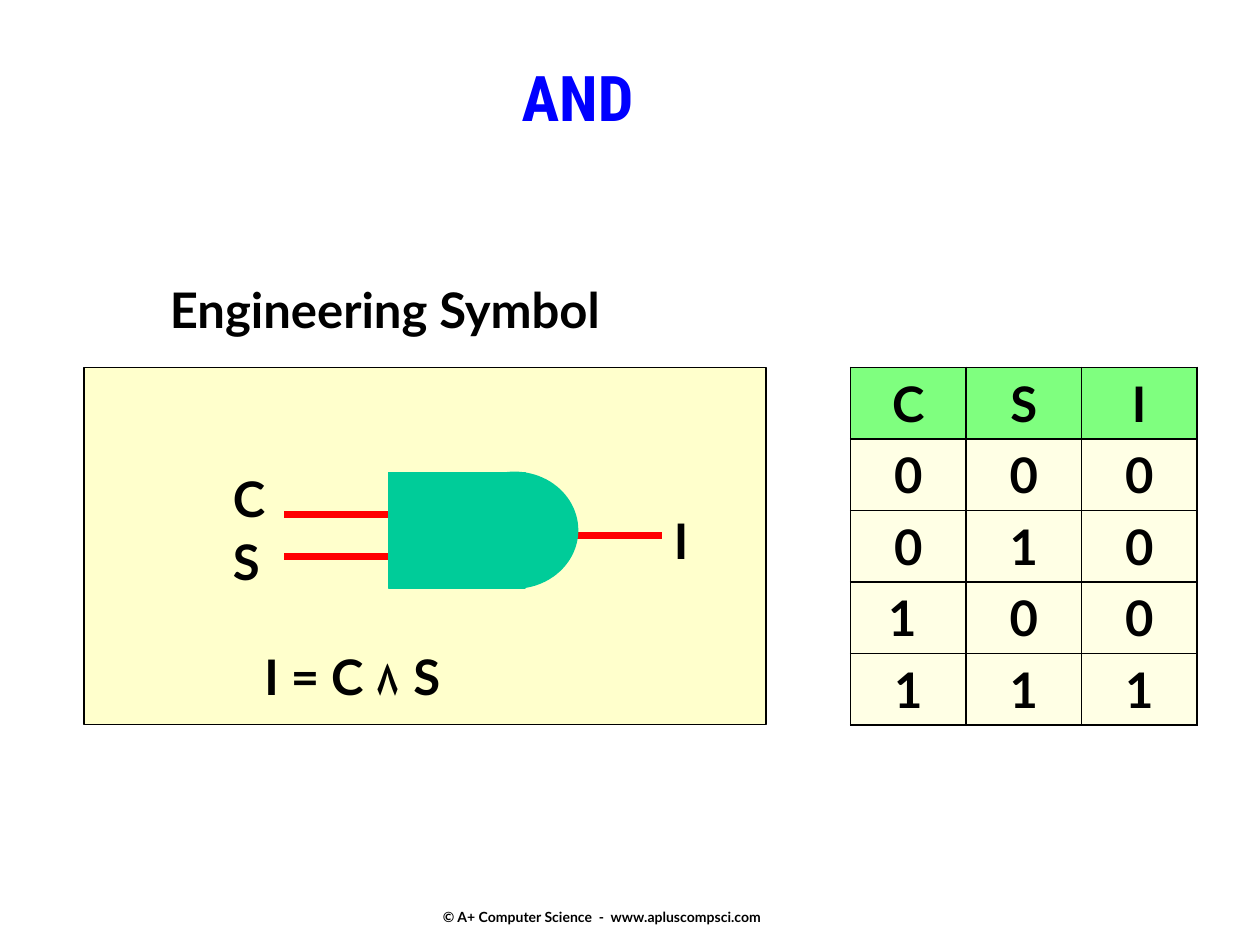
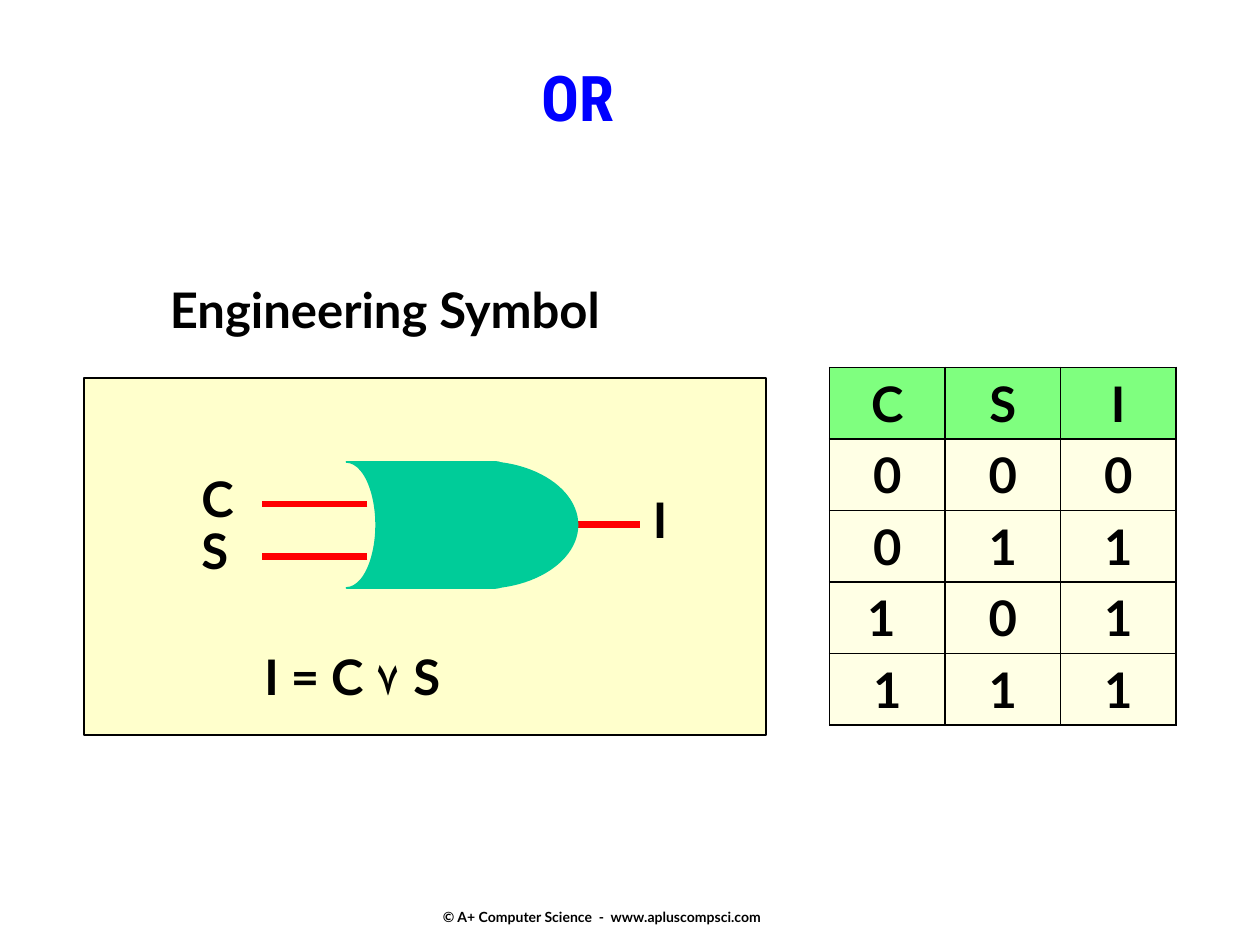
from collections import namedtuple
from dataclasses import dataclass

from lxml.etree import SubElement
from pptx import Presentation
from pptx.dml.color import RGBColor as Color
from pptx.enum.shapes import MSO_CONNECTOR as Connector, MSO_SHAPE as Preset
from pptx.enum.text import MSO_ANCHOR as Anchor, PP_ALIGN as Align
from pptx.oxml.ns import qn
from pptx.util import Pt


@dataclass(frozen=True)
class Theme:
    title_font: str = "Roboto Condensed"
    body_font: str = "Lato"
    title_size: int = 36
    body_size: int = 28
    footer_size: int = 8
    title_color: str = "0000FF"
    ink: str = "000000"
    panel: str = "FFFFCC"
    header: str = "00FF00"
    gate: str = "00CC99"
    wire: str = "FF0000"
    cell_alpha: int = 50000


theme = Theme()
Gate = namedtuple("Gate", "title formula panel_top labels wires table_left truth outlines")

FOOTER = "© A+ Computer Science  -  www.apluscompsci.com"
COLUMN_WIDTH, ROW_HEIGHT = 66, 40.8
LABEL_HEIGHT = 41

# Labels are (text, left, top, width); wires are (start, end, height on the slide).
gates = [
    Gate(
        "AND", "I = C ۸ S", 210,
        [("C", 126, 264, 33), ("S", 126, 300, 32), ("I", 378, 288, 28)],
        [(222, 162, 294), (222, 162, 318), (324, 378, 306)],
        486, ["CSI", "000", "010", ["1 ", "0", "0"], "111"],
        [(Preset.OVAL, 258, 270, 72, 66), (Preset.RECTANGLE, 222, 270, 78, 66)],
    ),
    Gate(
        "OR", "I = C ۷ S", 216,
        [("C", 108, 264, 33), ("S", 108, 294, 32), ("I", 366, 276, 28)],
        [(210, 150, 288), (210, 150, 318), (312, 366, 300)],
        474, ["CSI", "000", "011", ["1 ", "0", "1"], "111"],
        [(Preset.FLOWCHART_STORED_DATA, 198, 264, 102, 72), (Preset.OVAL, 222, 264, 108, 72)],
    ),
]


def write(frame, text, size=theme.body_size, font=theme.body_font,
          color=theme.ink, align=Align.LEFT):
    """Fill a text frame with one bold paragraph."""
    frame.word_wrap = True
    paragraph = frame.paragraphs[0]
    paragraph.text = text
    paragraph.alignment = align
    paragraph.font.size = Pt(size)
    paragraph.font.name = font
    paragraph.font.bold = True
    paragraph.font.color.rgb = Color.from_string(color)


def add_block(slide, preset, left, top, width, height, fill, line):
    shape = slide.shapes.add_shape(preset, Pt(left), Pt(top), Pt(width), Pt(height))
    shape.shadow.inherit = False
    shape.fill.solid()
    shape.fill.fore_color.rgb = Color.from_string(fill)
    shape.line.color.rgb = Color.from_string(line)
    shape.line.width = Pt(1)
    return shape


presentation = Presentation()
presentation.slide_width = Pt(720)
presentation.slide_height = Pt(540)

for gate in gates:
    slide = presentation.slides.add_slide(presentation.slide_layouts[6])
    shapes = slide.shapes

    footer = shapes.add_textbox(Pt(246), Pt(514), Pt(228), Pt(20)).text_frame
    footer.vertical_anchor = Anchor.MIDDLE
    write(footer, FOOTER, theme.footer_size)
    title = shapes.add_textbox(Pt(138), Pt(30), Pt(384), Pt(84)).text_frame
    write(title, gate.title, theme.title_size, theme.title_font, theme.title_color, Align.CENTER)

    add_block(slide, Preset.RECTANGLE, 48, gate.panel_top, 390, 204, theme.panel, theme.ink)

    for start, end, height in gate.wires:
        wire = shapes.add_connector(Connector.STRAIGHT, Pt(start), Pt(height), Pt(end), Pt(height))
        wire.line.color.rgb = Color.from_string(theme.wire)
        wire.line.width = Pt(4)
        SubElement(wire.element.spPr, qn("a:effectLst"))

    captions = [(gate.formula, 144, 366, 138), ("Engineering Symbol", 90, 156, 295)]
    for text, left, top, width in gate.labels + captions:
        box = shapes.add_textbox(Pt(left), Pt(top), Pt(width), Pt(LABEL_HEIGHT))
        write(box.text_frame, text)

    rows, columns = len(gate.truth), len(gate.truth[0])
    table = shapes.add_table(rows, columns, Pt(gate.table_left), Pt(210),
                             Pt(columns * COLUMN_WIDTH), Pt(rows * ROW_HEIGHT)).table
    table.first_row = table.horz_banding = False
    for column in table.columns:
        column.width = Pt(COLUMN_WIDTH)
    for row_index, values in enumerate(gate.truth):
        table.rows[row_index].height = Pt(ROW_HEIGHT)
        for column_index, value in enumerate(values):
            cell = table.cell(row_index, column_index)
            write(cell.text_frame, value, align=Align.CENTER)
            properties = cell._tc.get_or_add_tcPr()
            for side in ("a:lnL", "a:lnR", "a:lnT", "a:lnB"):
                border = SubElement(properties, qn(side), w=str(Pt(1)))
                border_fill = SubElement(border, qn("a:solidFill"))
                SubElement(border_fill, qn("a:srgbClr"), val=theme.ink)
            cell.fill.solid()
            cell.fill.fore_color.rgb = Color.from_string(
                theme.panel if row_index else theme.header)
            fill_color = properties.find(qn("a:solidFill")).find(qn("a:srgbClr"))
            SubElement(fill_color, qn("a:alpha"), val=str(theme.cell_alpha))

    for preset, *place in gate.outlines:
        outline = add_block(slide, preset, *place, theme.gate, theme.gate)
        if preset == Preset.FLOWCHART_STORED_DATA:
            outline.element.spPr.get_or_add_xfrm().set("flipH", "1")

presentation.save("out.pptx")
